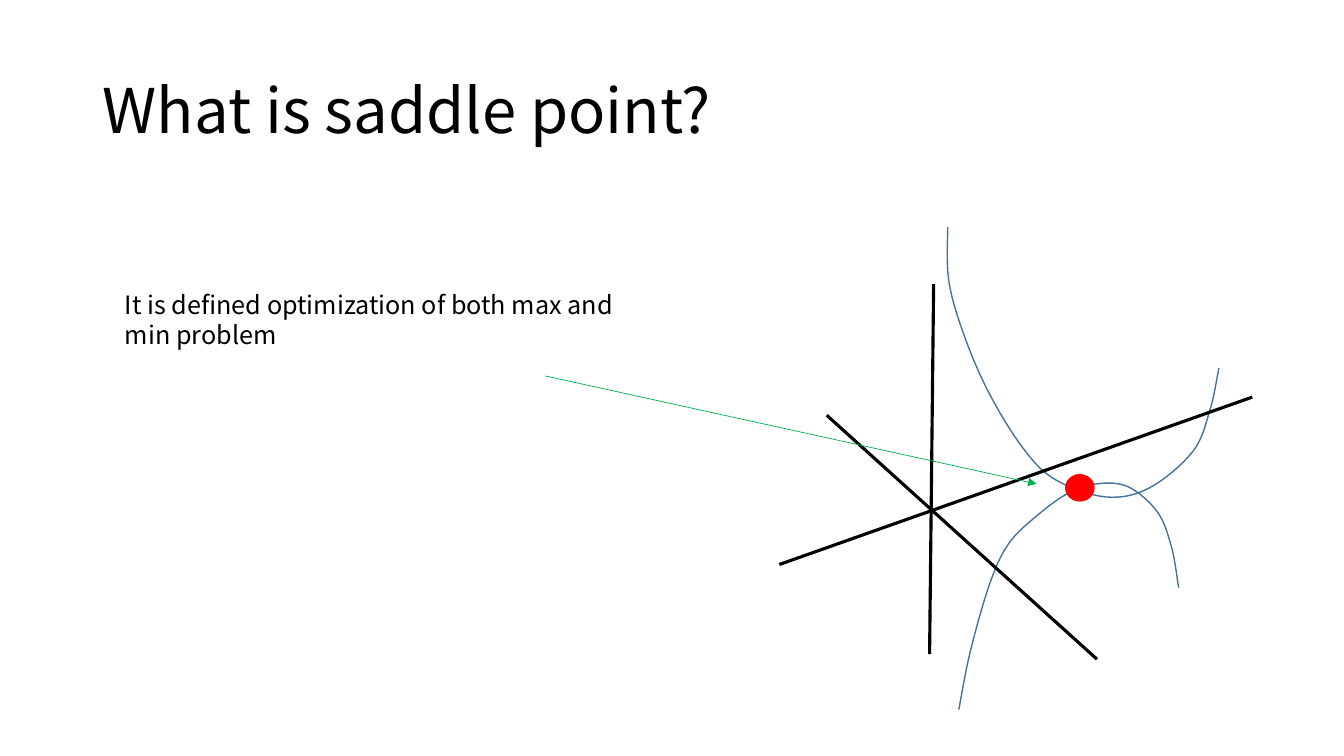
from lxml.etree import SubElement
from pptx import Presentation
from pptx.dml.color import RGBColor
from pptx.enum.shapes import MSO_CONNECTOR, MSO_SHAPE
from pptx.enum.text import MSO_ANCHOR, MSO_AUTO_SIZE, PP_ALIGN
from pptx.oxml.ns import qn
from pptx.util import Inches, Pt

FONT = "Noto Sans CJK KR"
BLACK, RED, GREEN, BLUE = "000000", "FF0000", "00B050", "43739E"

TITLE = {
    "text": "What is saddle point?",
    "box": (0.92, 0.4, 11.5, 1.45),
    "size": 44,
    "frame": {"vertical_anchor": MSO_ANCHOR.MIDDLE},
    "paragraph": {"alignment": PP_ALIGN.LEFT, "line_spacing": 0.9},
}
DEFINITION = {
    "text": "It is defined optimization of both max and min problem",
    "box": (1.14, 2.82, 5.47, 0.71),
    "size": 18,
    "frame": {"word_wrap": True, "auto_size": MSO_AUTO_SIZE.SHAPE_TO_FIT_TEXT},
    "paragraph": {"alignment": PP_ALIGN.LEFT},
}
SADDLE_POINT_BOX = (10.57, 4.71, 0.28, 0.26)
AXES = {
    "horizontal": ((7.73, 5.6), (12.42, 3.94)),
    "vertical": ((9.26, 2.82), (9.22, 6.49)),
    "depth": ((8.2, 4.12), (10.88, 6.54)),
}
POINTER = ((5.41, 3.73), (10.28, 4.8))
CURVE_ANCHORS = {
    "minimum": [
        (9.4, 2.25), (9.41, 2.78), (9.56, 3.32), (9.81, 3.9),
        (10.15, 4.45), (10.47, 4.76), (10.97, 4.93), (11.4, 4.84),
        (11.83, 4.48), (12, 4.07), (12.09, 3.65),
    ],
    "maximum": [
        (9.51, 7.04), (9.62, 6.48), (9.81, 5.81), (10, 5.4),
        (10.28, 5.12), (10.6, 4.89), (10.88, 4.8), (11.19, 4.83),
        (11.48, 5.08), (11.62, 5.43), (11.69, 5.83),
    ],
}
STEPS_PER_SPAN = 8


def color(value):
    return RGBColor.from_string(value)


def set_attributes(target, values):
    for name, value in values.items():
        setattr(target, name, value)


def set_line(shape, value, width):
    shape.line.color.rgb = color(value)
    shape.line.width = Pt(width)


def write_text(shape, content):
    frame = shape.text_frame
    frame.text = content["text"]
    set_attributes(frame, content["frame"])
    paragraph = frame.paragraphs[0]
    set_attributes(paragraph, content["paragraph"])
    font = paragraph.runs[0].font
    set_attributes(font, {"name": FONT, "size": Pt(content["size"])})
    font.color.rgb = color(BLACK)


def spline_value(before, start, end, after, t):
    return 0.5 * (
        2 * start
        + (end - before) * t
        + (2 * before - 5 * start + 4 * end - after) * t ** 2
        + (3 * start - before - 3 * end + after) * t ** 3
    )


def smooth_points(anchors):
    padded = [anchors[0], *anchors, anchors[-1]]
    points = [anchors[0]]
    for span in zip(padded, padded[1:], padded[2:], padded[3:]):
        for step in range(1, STEPS_PER_SPAN + 1):
            t = step / STEPS_PER_SPAN
            points.append(tuple(spline_value(*values, t) for values in zip(*span)))
    return points


def add_curve(slide, anchors):
    start, *others = [(Inches(x), Inches(y)) for x, y in smooth_points(anchors)]
    builder = slide.shapes.build_freeform(*start)
    builder.add_line_segments(others, close=False)
    curve = builder.convert_to_shape()
    curve.shadow.inherit = False
    curve.fill.background()
    set_line(curve, BLUE, 1)


def add_straight_line(slide, ends, value, width, arrow=False):
    positions = [Inches(number) for end in ends for number in end]
    connector = slide.shapes.add_connector(MSO_CONNECTOR.STRAIGHT, *positions)
    set_line(connector, value, width)
    properties = connector.element.spPr
    SubElement(properties, qn("a:effectLst"))
    if arrow:
        SubElement(properties.find(qn("a:ln")), qn("a:tailEnd"), type="triangle")


def add_saddle_point(slide):
    saddle_point = slide.shapes.add_shape(MSO_SHAPE.OVAL, *map(Inches, SADDLE_POINT_BOX))
    saddle_point.shadow.inherit = False
    saddle_point.fill.solid()
    saddle_point.fill.fore_color.rgb = color(RED)
    set_line(saddle_point, RED, 1)


def main():
    presentation = Presentation()
    set_attributes(presentation, {"slide_width": Inches(13.33), "slide_height": Inches(7.5)})
    slide = presentation.slides.add_slide(presentation.slide_layouts[5])

    title = slide.shapes.title
    set_attributes(title, dict(zip(("left", "top", "width", "height"), map(Inches, TITLE["box"]))))
    write_text(title, TITLE)

    for anchors in CURVE_ANCHORS.values():
        add_curve(slide, anchors)
    for ends in AXES.values():
        add_straight_line(slide, ends, BLACK, 2.25)
    add_saddle_point(slide)

    definition = slide.shapes.add_textbox(*map(Inches, DEFINITION["box"]))
    write_text(definition, DEFINITION)
    add_straight_line(slide, POINTER, GREEN, 0.5, arrow=True)

    presentation.save("out.pptx")


if __name__ == "__main__":
    main()
